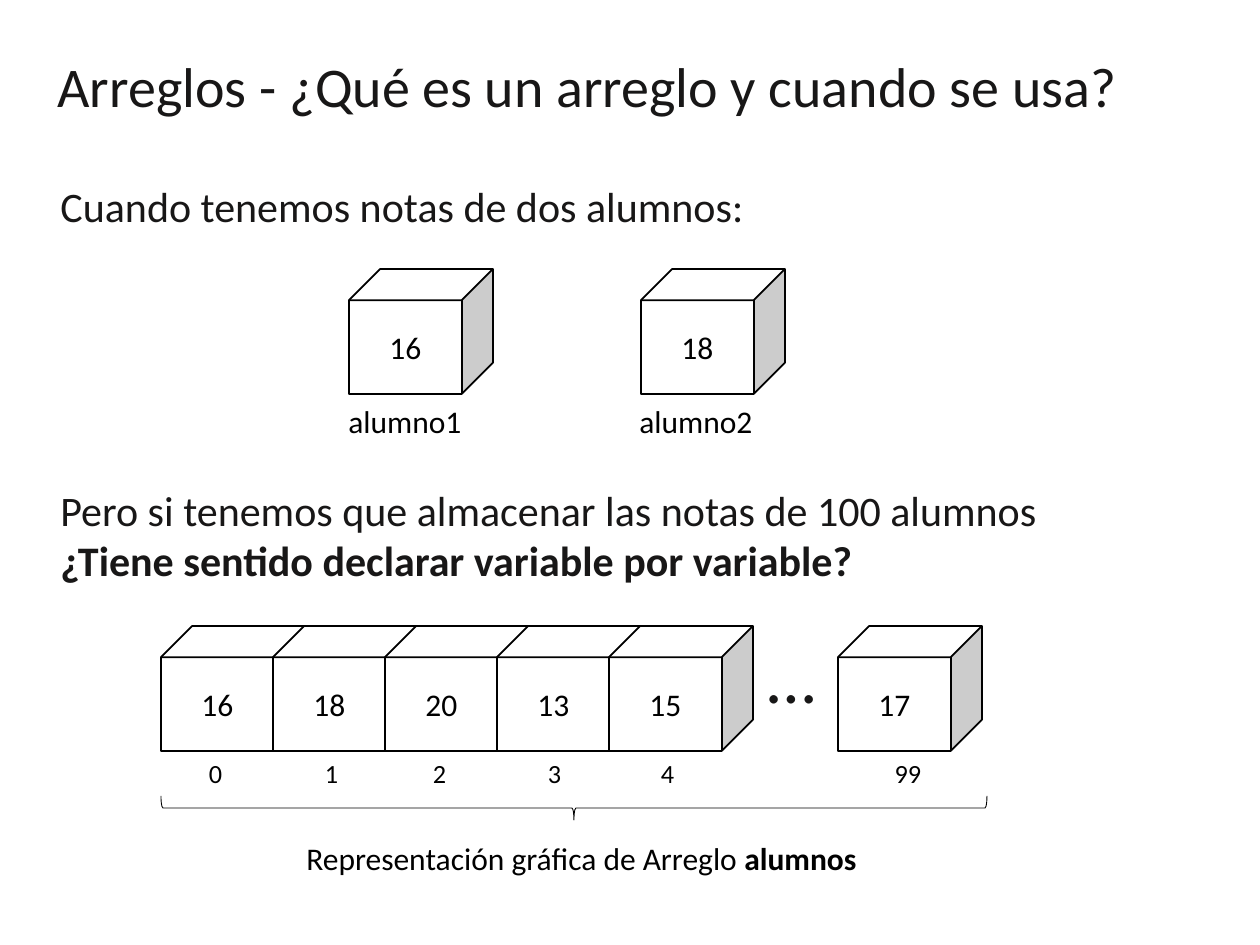
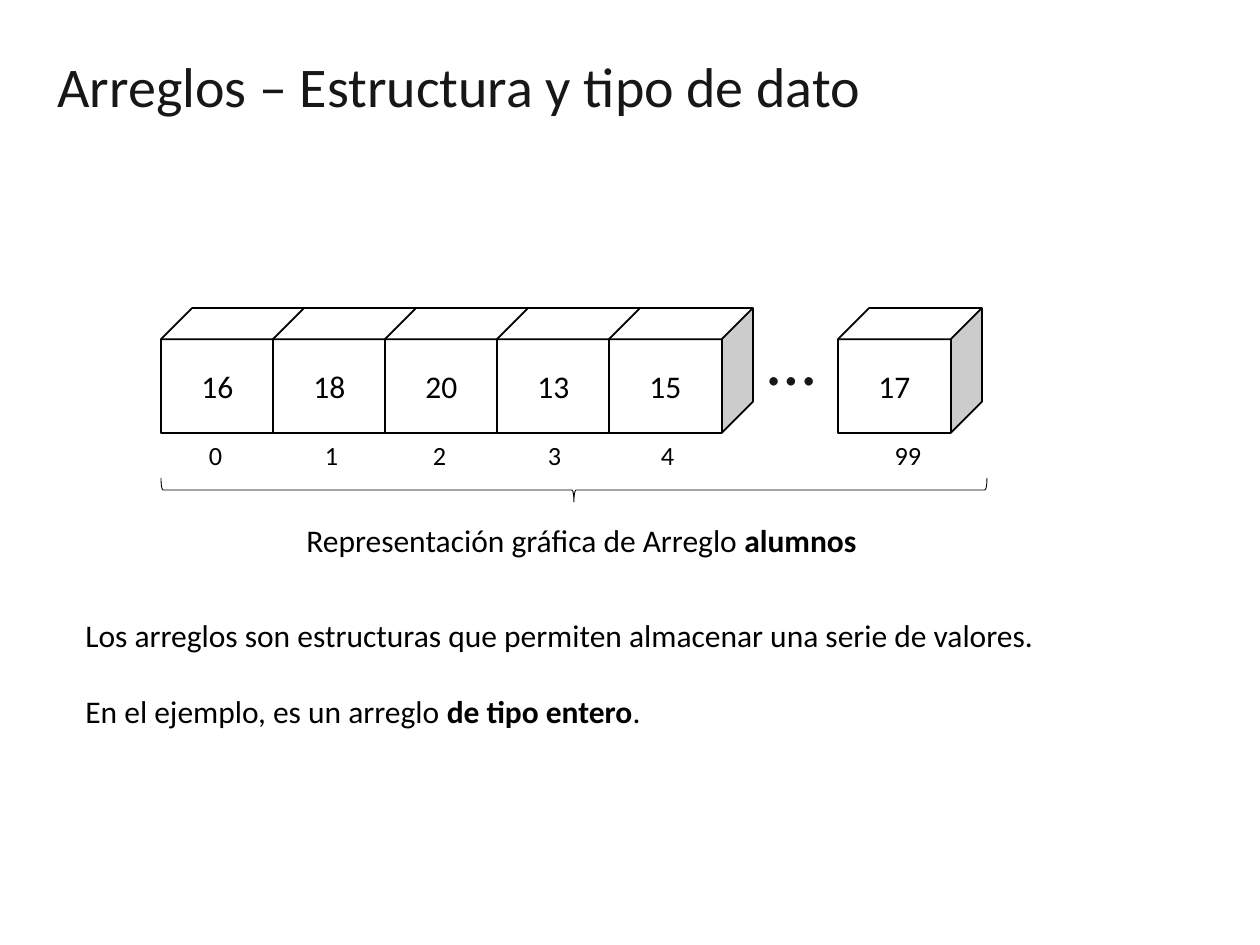
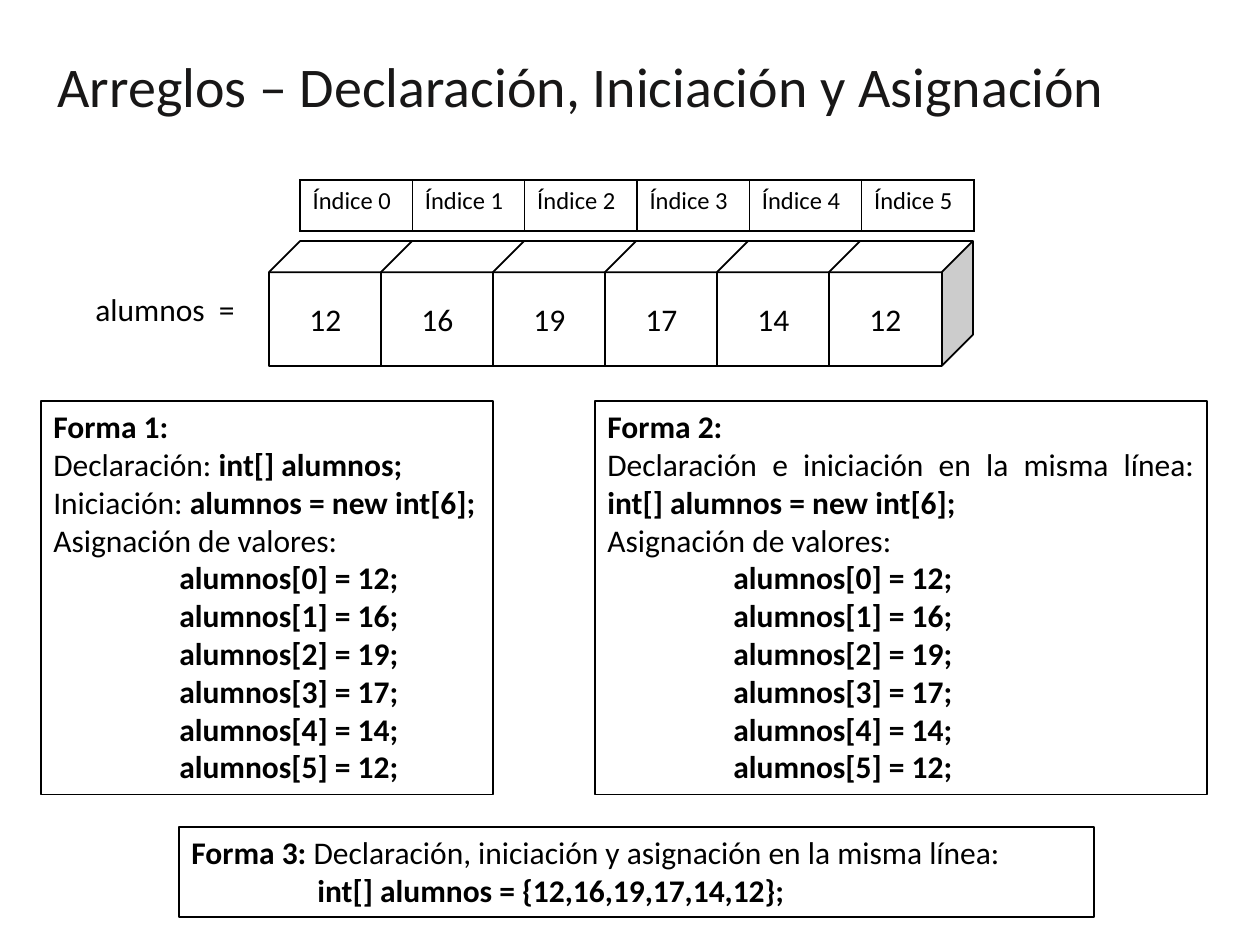
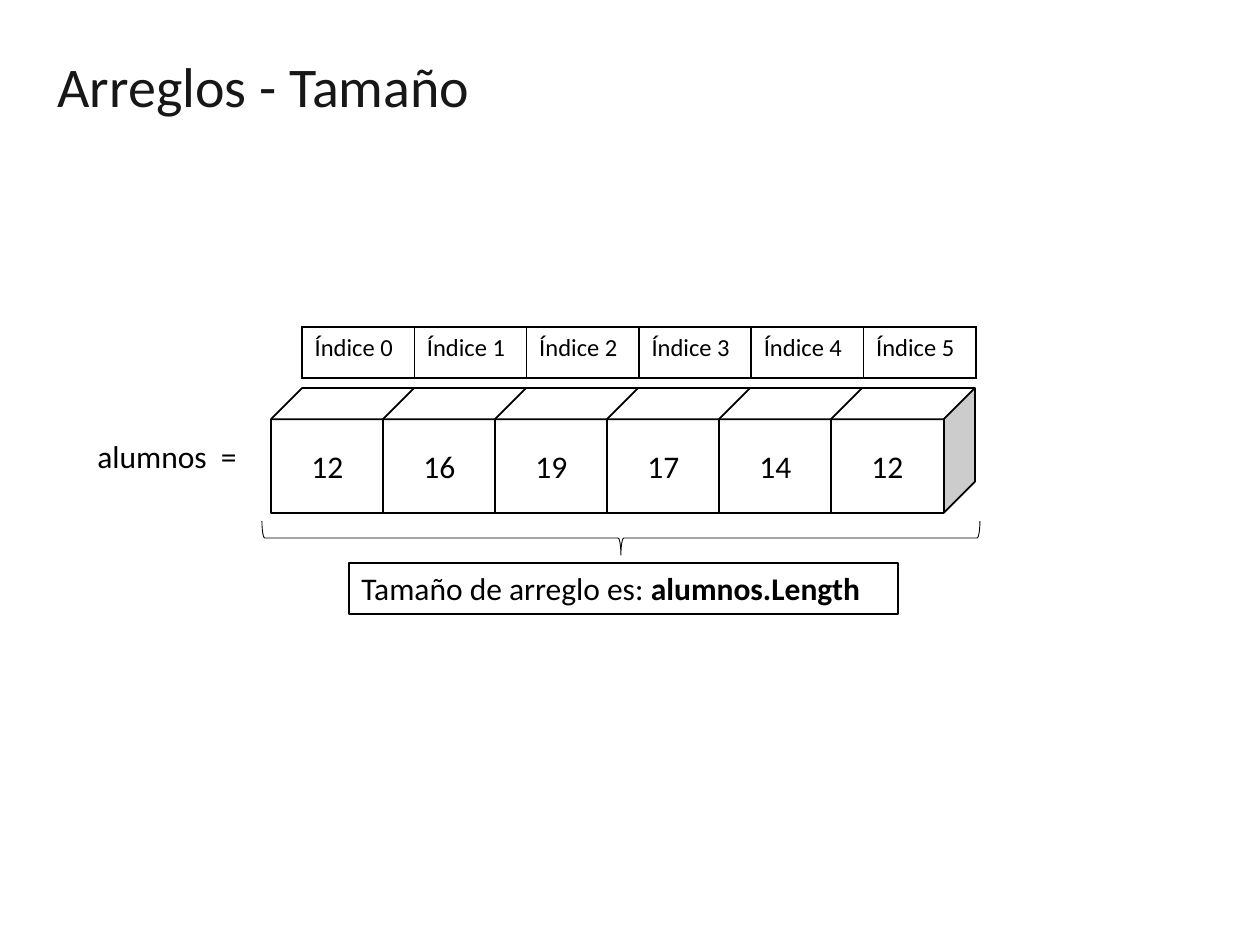
from lxml.etree import SubElement
from pptx import Presentation
from pptx.dml.color import RGBColor
from pptx.enum.shapes import MSO_SHAPE as Preset
from pptx.enum.text import MSO_ANCHOR as Anchor, PP_ALIGN as Align
from pptx.oxml.ns import qn
from pptx.util import Emu, Pt

INK = RGBColor(0x18, 0x17, 0x17)
BLACK = RGBColor(0, 0, 0)
WHITE = RGBColor(255, 255, 255)
FONT = "Calibri"

PIXEL = 914400 // 126
CUBE_WIDTH, CUBE_HEIGHT, CUBE_STEP, CUBE_DEPTH = 144, 125, 112, 31
TAB = 126

TITLES = [
    ("Arreglos - ¿Qué es un arreglo y cuando se usa?", 1100),
    ("Arreglos – Estructura y tipo de dato", 838),
    ("Arreglos – Declaración, Iniciación y Asignación", 1084),
    ("Arreglos - Tamaño", 442),
]
STUDENTS = [("16", "alumno1", 349, 336), ("18", "alumno2", 641, 627)]
QUESTION = [
    "Pero si tenemos que almacenar las notas de 100 alumnos",
    "**¿Tiene sentido declarar variable por variable?**",
]
LONG_ARRAY = ["16", "18", "20", "13", "15"]
LONG_INDICES = [("0", 155), ("1", 271), ("2", 379), ("3", 494), ("4", 607)]
LONG_CAPTION = "Representación gráfica de Arreglo **alumnos**"
EXPLANATION = [
    "Los arreglos son estructuras que permiten almacenar una serie de valores.",
    "En el ejemplo, es un arreglo **de tipo entero**.",
]
GRADES = ["12", "16", "19", "17", "14", "12"]
ASSIGNMENTS = [f"\t**alumnos[{i}] = {grade};**" for i, grade in enumerate(GRADES)]
FORMS = [
    ((41, 401, 452, 394), [
        "**Forma 1:**",
        "Declaración: **int[] alumnos;**",
        "Iniciación: **alumnos = new int[6];**",
        "Asignación de valores:",
        *ASSIGNMENTS,
    ]),
    ((595, 401, 612, 394), [
        "**Forma 2:**",
        "Declaración e iniciación en la misma línea: **int[] alumnos = new int[6];**",
        "Asignación de valores:",
        *ASSIGNMENTS,
    ]),
    ((179, 827, 915, 90), [
        "**Forma 3:** Declaración, iniciación y asignación en la misma línea:",
        "\t**int[] alumnos = {" + ",".join(GRADES) + "};**",
    ]),
]
SIZE_NOTE = "Tamaño de arreglo es: **alumnos.Length**"


def px(*lengths):
    return [Emu(length * PIXEL) for length in lengths]


def write(frame, lines, size, color=BLACK, align=Align.LEFT, gap=0):
    frame.word_wrap = True
    for number, line in enumerate(lines):
        para = frame.paragraphs[0] if number == 0 else frame.add_paragraph()
        para.alignment = align
        para.font.name, para.font.size = FONT, Pt(size)
        para.font.color.rgb = color
        if number:
            para.space_before = Pt(gap)
        if line.startswith("\t"):
            para._p.get_or_add_pPr().set("marL", str(TAB * PIXEL))
        for order, words in enumerate(line.strip("\t").split("**")):
            if words:
                span = para.add_run()
                span.text = words
                span.font.bold = order % 2 == 1


def add_text(page, place, lines, size=18, color=BLACK, align=Align.LEFT, gap=0, framed=False):
    box = page.shapes.add_textbox(*px(*place))
    write(box.text_frame, lines, size, color, align, gap)
    if framed:
        box.line.color.rgb = BLACK
        box.line.width = Pt(0.75)


def add_outline(page, preset, place, weight):
    shape = page.shapes.add_shape(preset, *px(*place))
    shape.shadow.inherit = False
    shape.line.color.rgb = BLACK
    shape.line.width = Pt(weight)
    return shape


def add_cube(page, left, top, value):
    cube = add_outline(page, Preset.CUBE, (left, top, CUBE_WIDTH, CUBE_HEIGHT), 1)
    cube.fill.solid()
    cube.fill.fore_color.rgb = WHITE
    cube.text_frame.vertical_anchor = Anchor.MIDDLE
    write(cube.text_frame, [value], 18, align=Align.CENTER)


def add_cube_row(page, left, top, values):
    for i, value in enumerate(values):
        add_cube(page, left + i * CUBE_STEP, top, value)


def add_brace(page, left, top, width, height):
    place = (left + (width - height) // 2, top + (height - width) // 2, height, width)
    brace = add_outline(page, Preset.LEFT_BRACE, place, 0.5)
    brace.fill.background()
    brace.rotation = 270


def add_long_array(page, top):
    add_cube_row(page, 161, top, LONG_ARRAY)
    add_text(page, (755, top + 1, 79, 97), ["…"], 40, INK)
    add_cube(page, 838, top, "17")
    for index, left in LONG_INDICES:
        add_text(page, (left, top + 125, 121, 44), [index], 15, align=Align.CENTER)
    add_text(page, (829, top + 125, 158, 44), ["99"], 15, align=Align.CENTER)
    add_brace(page, 161, top + 170, 826, 24)
    add_text(page, (294, top + 207, 581, 50), [LONG_CAPTION])


def add_index_table(page, left, top):
    count = len(GRADES)
    frame = page.shapes.add_table(1, count, *px(left, top, 674, 51))
    table = frame.table
    table.first_row = table.horz_banding = False
    for i, cell in enumerate(table.rows[0].cells):
        write(cell.text_frame, [f"Índice {i}"], 14)
        properties = cell._tc.get_or_add_tcPr()
        for side in ("lnL", "lnR", "lnT", "lnB"):
            border = SubElement(properties, qn(f"a:{side}"), w=str(Pt(1)))
            fill = SubElement(border, qn("a:solidFill"))
            SubElement(fill, qn("a:srgbClr"), val=str(BLACK))
        cell.fill.background()


def add_indexed_array(page, left, top):
    add_cube_row(page, left, top, GRADES)
    add_index_table(page, left + CUBE_DEPTH, top - 61)
    add_text(page, (left - 186, top + 43, 185, 50), ["alumnos  ="])


deck = Presentation()
deck.slide_width, deck.slide_height = px(1260, 945)
pages = []
for title, width in TITLES:
    page = deck.slides.add_slide(deck.slide_layouts[5])
    heading = page.shapes.title
    heading.left, heading.top, heading.width, heading.height = px(45, 45, width, 149)
    heading.text_frame.vertical_anchor = Anchor.TOP
    write(heading.text_frame, [title], 32, INK)
    pages.append(page)
usage, structure, declaration, length = pages

add_text(usage, (48, 174, 714, 63), ["Cuando tenemos notas de dos alumnos:"], 24, INK)
for grade, name, cube_left, name_left in STUDENTS:
    add_cube(usage, cube_left, 269, grade)
    add_text(usage, (name_left, 396, 158, 50), [name])
add_text(usage, (48, 478, 1011, 115), QUESTION, 24, INK)
add_long_array(usage, 626)

add_long_array(structure, 308)
add_text(structure, (73, 610, 1085, 127), EXPLANATION, gap=22)

add_indexed_array(declaration, 269, 241)
for place, lines in FORMS:
    add_text(declaration, place, lines, align=Align.JUSTIFY, framed=True)

add_indexed_array(length, 271, 388)
add_brace(length, 262, 521, 718, 34)
add_text(length, (349, 563, 549, 51), [SIZE_NOTE], framed=True)

deck.save("out.pptx")
